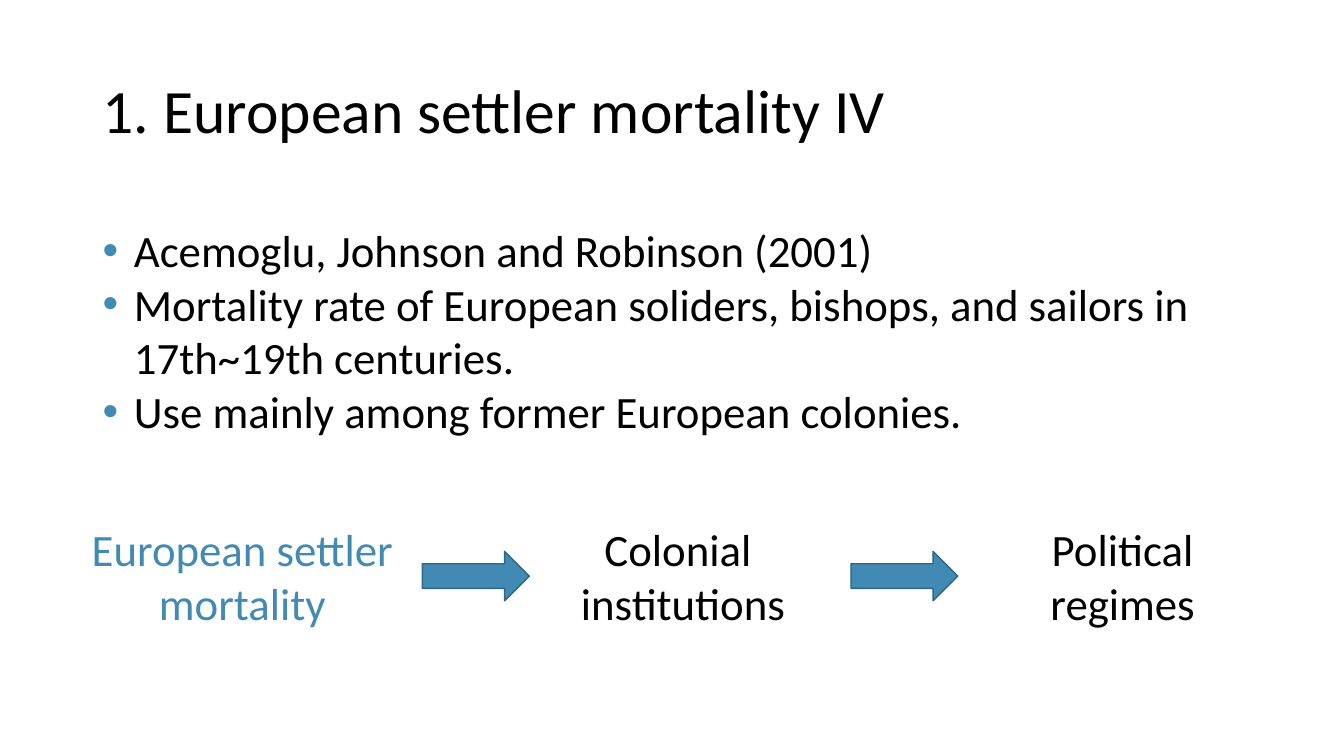
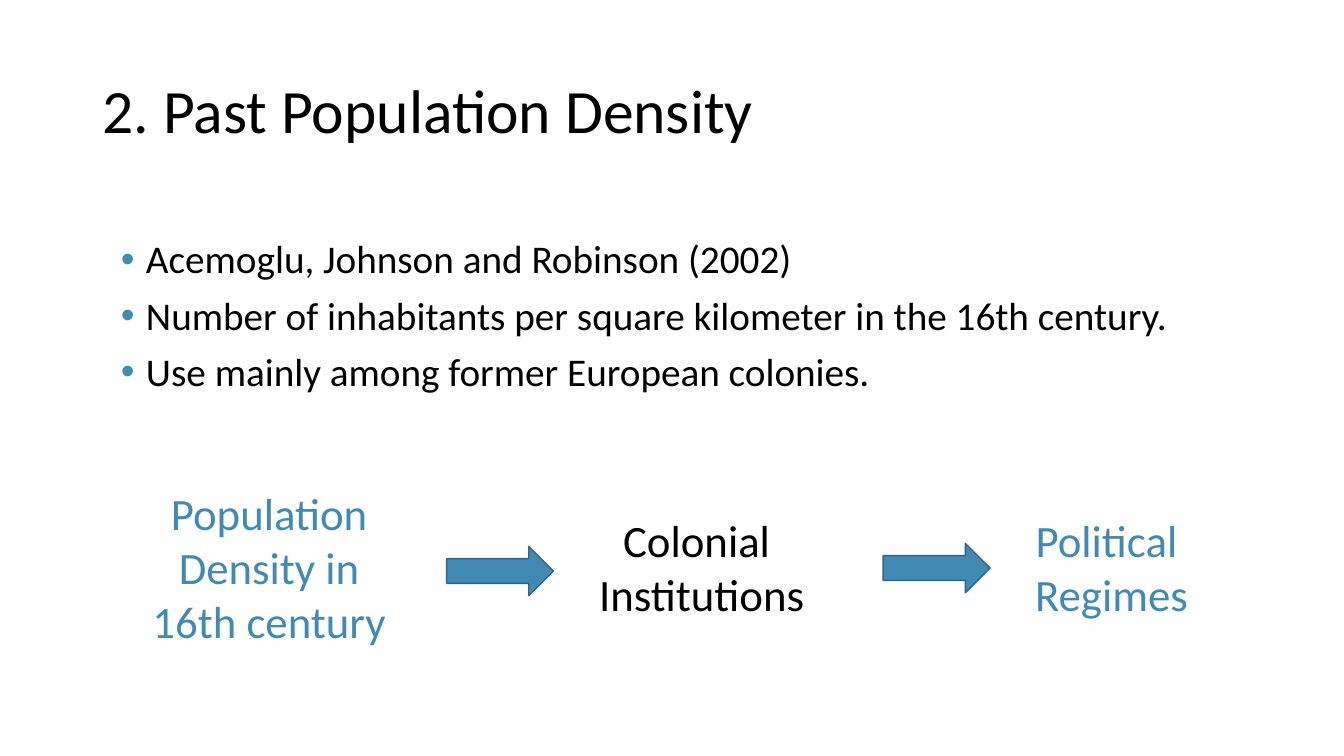
from dataclasses import dataclass

from lxml.etree import SubElement
from pptx import Presentation
from pptx.dml.color import RGBColor
from pptx.enum.shapes import MSO_SHAPE
from pptx.enum.text import MSO_ANCHOR, PP_ALIGN
from pptx.oxml.ns import qn
from pptx.slide import Slide
from pptx.text.text import TextFrame, _Paragraph
from pptx.util import Emu, Pt

EMU_PER_PX = 9144


@dataclass(frozen=True)
class Theme:
    """Colours, font and type sizes shared by the slides."""

    font: str = "Calibri"
    text: str = "000000"
    accent: str = "418AB3"
    outline: str = "306684"
    title_size: int = 44
    diagram_size: int = 32


@dataclass(frozen=True)
class Box:
    """A rectangle in px."""

    left: int
    top: int
    width: int
    height: int

    def emu(self) -> tuple[Emu, ...]:
        """Return the rectangle in EMU."""
        return tuple(px(side) for side in (self.left, self.top, self.width, self.height))


@dataclass(frozen=True)
class BulletList:
    """A bulleted list and its spacing."""

    box: Box
    items: tuple[str, ...]
    size: int
    indent: int
    line_spacing: float = 1.0
    gap: int = 0


@dataclass(frozen=True)
class Stage:
    """One label of the causal chain."""

    box: Box
    lines: tuple[str, ...]
    color: str


@dataclass(frozen=True)
class Arrow:
    """The place of one block arrow."""

    left: int
    top: int


@dataclass(frozen=True)
class Page:
    """The content of one slide."""

    title: str
    bullets: BulletList
    stages: tuple[Stage, ...]
    arrows: tuple[Arrow, ...]


THEME = Theme()
TITLE_BOX = Box(92, 40, 1150, 145)
ARROW_WIDTH, ARROW_HEIGHT = 106, 49

PAGES = (
    Page(
        "1. European settler mortality IV",
        BulletList(
            Box(92, 216, 1200, 227),
            (
                "Acemoglu, Johnson and Robinson (2001)",
                "Mortality rate of European soliders, bishops, and sailors in 17th~19th centuries.",
                "Use mainly among former European colonies.",
            ),
            size=32,
            indent=31,
        ),
        (
            Stage(Box(77, 513, 327, 118), ("European settler mortality",), THEME.accent),
            Stage(Box(472, 513, 411, 118), ("Colonial ", "institutions"), THEME.text),
            Stage(Box(908, 513, 411, 118), ("Political", "regimes"), THEME.text),
        ),
        (Arrow(419, 547), Arrow(844, 547)),
    ),
    Page(
        "2. Past Population Density",
        BulletList(
            Box(110, 233, 1150, 476),
            (
                "Acemoglu, Johnson and Robinson (2002)",
                "Number of inhabitants per square kilometer in the 16th century.",
                "Use mainly among former European colonies.",
            ),
            size=28,
            indent=25,
            line_spacing=0.9,
            gap=10,
        ),
        (
            Stage(Box(127, 477, 280, 172), ("Population", "Density in 16th century"), THEME.accent),
            Stage(Box(552, 504, 288, 118), ("Colonial ", "Institutions"), THEME.text),
            Stage(Box(982, 504, 241, 118), ("Political ", "Regimes"), THEME.accent),
        ),
        (Arrow(443, 542), Arrow(876, 539)),
    ),
)


def px(length: int) -> Emu:
    """Turn px into EMU."""
    return Emu(length * EMU_PER_PX)


def add_frame(slide: Slide, box: Box) -> TextFrame:
    """Add a wrapping text box and return its frame."""
    frame = slide.shapes.add_textbox(*box.emu()).text_frame
    frame.word_wrap = True
    return frame


def add_paragraph(frame: TextFrame, index: int) -> _Paragraph:
    """Return the first paragraph or append a new one."""
    return frame.add_paragraph() if index else frame.paragraphs[0]


def add_run(paragraph: _Paragraph, text: str, size: int, color: str) -> None:
    """Add one styled run."""
    run = paragraph.add_run()
    run.text = text
    run.font.name = THEME.font
    run.font.size = Pt(size)
    run.font.color.rgb = RGBColor.from_string(color)


def add_bullet(paragraph: _Paragraph, indent: int) -> None:
    """Give a paragraph an accent bullet with a hanging indent."""
    properties = paragraph._p.get_or_add_pPr()
    properties.set("marL", str(px(indent)))
    properties.set("indent", str(px(-indent)))
    bullet_color = SubElement(properties, qn("a:buClr"))
    SubElement(bullet_color, qn("a:srgbClr"), val=THEME.accent)
    SubElement(properties, qn("a:buFont"), typeface="Arial")
    SubElement(properties, qn("a:buChar"), char="•")


def draw_title(slide: Slide, title: str) -> None:
    """Draw the slide title."""
    frame = add_frame(slide, TITLE_BOX)
    frame.vertical_anchor = MSO_ANCHOR.MIDDLE
    paragraph = frame.paragraphs[0]
    paragraph.line_spacing = 0.9
    add_run(paragraph, title, THEME.title_size, THEME.text)


def draw_bullets(slide: Slide, bullets: BulletList) -> None:
    """Draw the bulleted list."""
    frame = add_frame(slide, bullets.box)
    for index, item in enumerate(bullets.items):
        paragraph = add_paragraph(frame, index)
        add_bullet(paragraph, bullets.indent)
        paragraph.line_spacing = bullets.line_spacing
        paragraph.space_before = Pt(bullets.gap if index else 0)
        add_run(paragraph, item, bullets.size, THEME.text)


def draw_stage(slide: Slide, stage: Stage) -> None:
    """Draw one centred label of the chain."""
    frame = add_frame(slide, stage.box)
    for index, line in enumerate(stage.lines):
        paragraph = add_paragraph(frame, index)
        paragraph.alignment = PP_ALIGN.CENTER
        add_run(paragraph, line, THEME.diagram_size, stage.color)


def draw_arrow(slide: Slide, arrow: Arrow) -> None:
    """Draw one block arrow of the chain."""
    box = Box(arrow.left, arrow.top, ARROW_WIDTH, ARROW_HEIGHT)
    shape = slide.shapes.add_shape(MSO_SHAPE.RIGHT_ARROW, *box.emu())
    shape.shadow.inherit = False
    shape.fill.solid()
    shape.fill.fore_color.rgb = RGBColor.from_string(THEME.accent)
    shape.line.color.rgb = RGBColor.from_string(THEME.outline)
    shape.line.width = Pt(1)


def main() -> None:
    """Build and save the presentation."""
    presentation = Presentation()
    presentation.slide_width = px(1333)
    presentation.slide_height = px(750)
    blank_layout = presentation.slide_layouts[6]
    for page in PAGES:
        slide = presentation.slides.add_slide(blank_layout)
        draw_title(slide, page.title)
        draw_bullets(slide, page.bullets)
        for stage in page.stages:
            draw_stage(slide, stage)
        for arrow in page.arrows:
            draw_arrow(slide, arrow)
    presentation.save("out.pptx")


if __name__ == "__main__":
    main()
